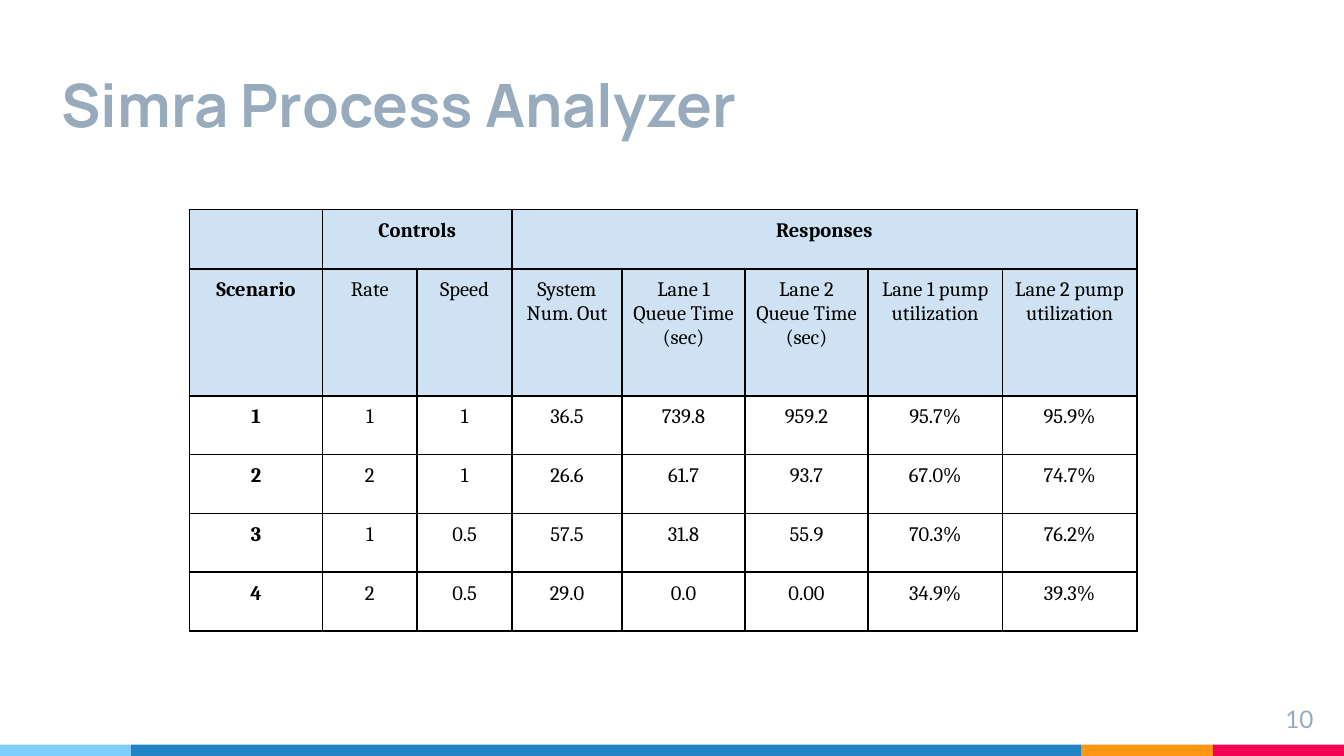
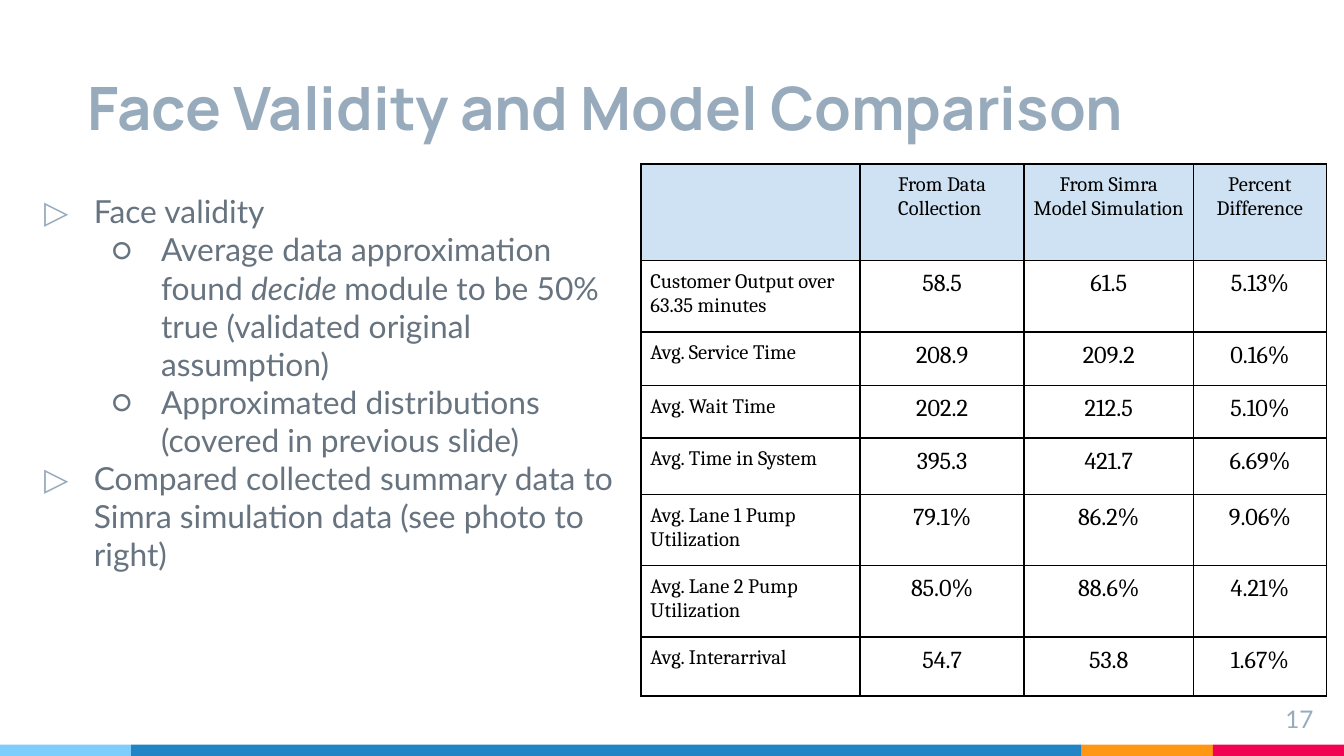
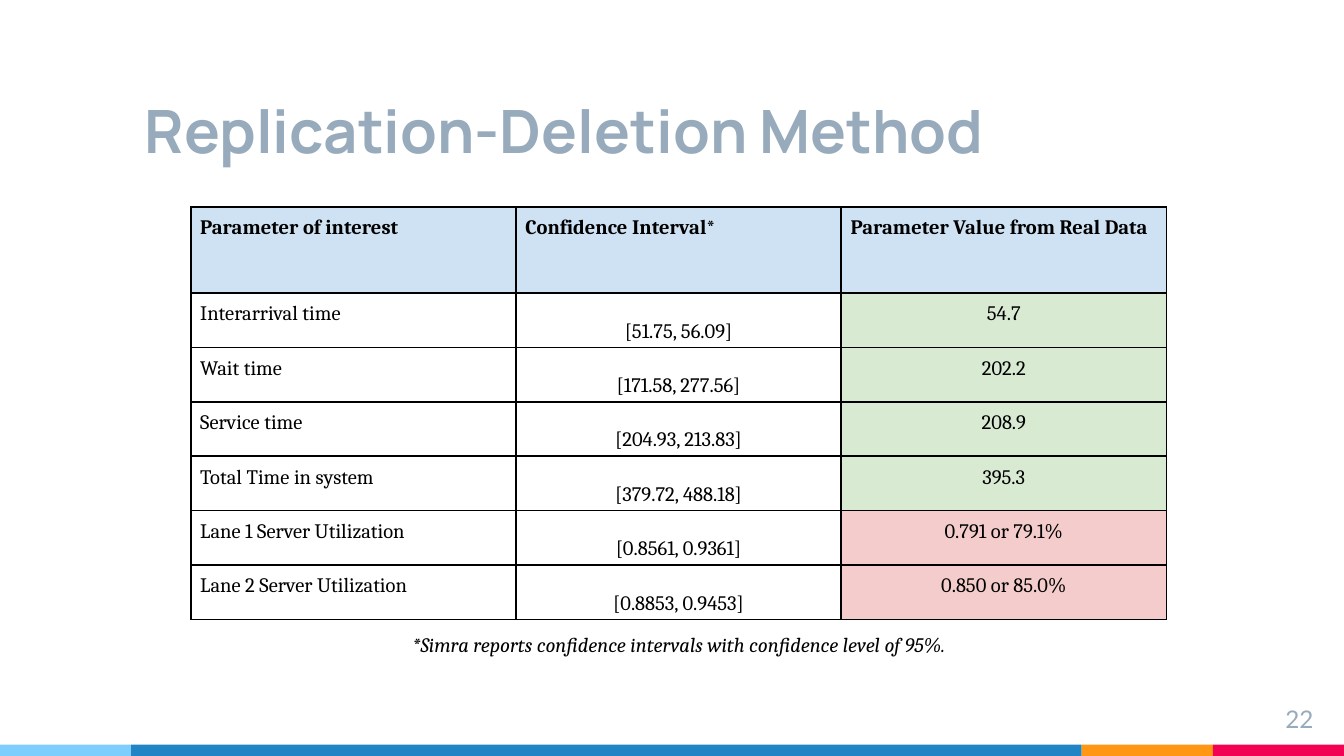
from dataclasses import dataclass

from lxml import etree
from pptx import Presentation
from pptx import util as u
from pptx.dml.color import RGBColor
from pptx.enum import shapes, text
from pptx.oxml.ns import qn

WIDTH, HEIGHT = u.Inches(10), u.Inches(5.625)
GRID_COLUMNS = 100  # square cells, so the slide is 56.25 rows high
CENTER = text.PP_ALIGN.CENTER
BOTTOM = text.MSO_ANCHOR.BOTTOM


@dataclass(frozen=True)
class Theme:
    title: str = "97ABBC"
    body: str = "677480"
    ink: str = "000000"
    header: str = "CFE2F3"
    inside: str = "D9EAD3"
    outside: str = "F4CCCC"
    bands: tuple = ("7ECEFD", "2185C5", "FF9715", "F20253")
    title_font: str = "Manrope"
    body_font: str = "Lato"
    table_font: str = "Cambria"
    title_size: int = 32
    body_size: int = 17
    number_size: int = 13
    value_size: int = 13
    table_size: int = 11


THEME = Theme()
TITLE = dict(name=THEME.title_font, size=THEME.title_size, color=THEME.title, bold=True)
BODY = dict(name=THEME.body_font, size=THEME.body_size, color=THEME.body)
NUMBER = dict(name=THEME.body_font, size=THEME.number_size, color=THEME.title)
TABLE = dict(name=THEME.table_font, size=THEME.table_size, color=THEME.ink)


def grid(cells):
    return round(cells * WIDTH / GRID_COLUMNS)


def set_attributes(target, values):
    for name, value in values.items():
        setattr(target, name, value)


def add_run(paragraph, words, style):
    run = paragraph.add_run()
    run.text = words
    values = dict(style)
    run.font.color.rgb = RGBColor.from_string(values.pop("color"))
    values["size"] = u.Pt(values["size"])
    set_attributes(run.font, values)


def set_margins(target, cells):
    sides = ("left", "top", "right", "bottom")
    set_attributes(target, {f"margin_{side}": grid(cells) for side in sides})


def add_text_box(slide, box, **frame_values):
    frame = slide.shapes.add_textbox(*map(grid, box)).text_frame
    set_attributes(frame, dict(word_wrap=True, **frame_values))
    set_margins(frame, 1)
    return frame


def add_line_of_text(slide, box, words, style, alignment=None, **frame_values):
    paragraph = add_text_box(slide, box, **frame_values).paragraphs[0]
    paragraph.alignment = alignment
    add_run(paragraph, words, style)


def add_bands(slide):
    side = 9.76
    left = 0
    for color, width in zip(THEME.bands, (side, 100 - 3 * side, side, side)):
        box = map(grid, (left, 55.4, width, 0.85))
        band = slide.shapes.add_shape(shapes.MSO_SHAPE.RECTANGLE, *box)
        band.shadow.inherit = False
        band.fill.solid()
        band.fill.fore_color.rgb = RGBColor.from_string(color)
        band.line.fill.background()
        left += width


def add_slide(presentation, title, title_box, number):
    slide = presentation.slides.add_slide(presentation.slide_layouts[6])
    add_bands(slide)
    add_line_of_text(slide, title_box, title, TITLE, vertical_anchor=BOTTOM)
    add_line_of_text(slide, (92.7, 51.4, 6, 3.4), number, NUMBER, text.PP_ALIGN.RIGHT)
    return slide


def set_bullet(paragraph, level):
    mark, color = (("▷", THEME.title), ("○", THEME.body))[level]
    properties = paragraph._p.get_or_add_pPr()
    properties.set("marL", str(grid(5 * (level + 1))))
    properties.set("indent", str(grid(-3.7)))
    bullet_color = etree.SubElement(properties, qn("a:buClr"))
    etree.SubElement(bullet_color, qn("a:srgbClr"), val=color)
    etree.SubElement(properties, qn("a:buFont"), typeface=THEME.body_font)
    etree.SubElement(properties, qn("a:buChar"), char=mark)


def add_bullets(slide, box, items):
    """Each item is its level and its words; every second run is italic."""
    frame = add_text_box(slide, box)
    for index, (level, *runs) in enumerate(items):
        paragraph = frame.add_paragraph() if index else frame.paragraphs[0]
        paragraph.level = level
        paragraph.space_before = u.Pt(0 if index else 6)
        set_bullet(paragraph, level)
        for position, words in enumerate(runs):
            add_run(paragraph, words, dict(BODY, italic=position % 2 == 1))


def set_borders(cell):
    properties = cell._tc.get_or_add_tcPr()
    for side in "LRTB":
        line = etree.SubElement(properties, qn(f"a:ln{side}"), w=str(u.Pt(1)))
        fill = etree.SubElement(line, qn("a:solidFill"))
        etree.SubElement(fill, qn("a:srgbClr"), val=THEME.ink)


def fill_cell(cell, words, fill=None, alignment=CENTER, anchor=text.MSO_ANCHOR.TOP,
              margin=0.7, line_spacing=None, **font):
    set_borders(cell)
    set_margins(cell, margin)
    cell.vertical_anchor = anchor
    if fill:
        cell.fill.solid()
        cell.fill.fore_color.rgb = RGBColor.from_string(fill)
    else:
        cell.fill.background()
    if words:
        paragraph = cell.text_frame.paragraphs[0]
        set_attributes(paragraph, dict(alignment=alignment, line_spacing=line_spacing))
        add_run(paragraph, words, dict(TABLE, **font))


def add_grid_table(slide, left, top, widths, heights, rows, look, merges=()):
    """look(row, column) gives the format values of a cell."""
    box = map(grid, (left, top, sum(widths), sum(heights)))
    table = slide.shapes.add_table(len(heights), len(widths), *box).table
    set_attributes(table, dict(first_row=False, horz_banding=False))
    for column, width in zip(table.columns, widths):
        column.width = grid(width)
    for row, height in zip(table.rows, heights):
        row.height = grid(height)
    for r, row in enumerate(rows):
        for c, words in enumerate(row):
            fill_cell(table.cell(r, c), words, **look(r, c))
    for row, first, last in merges:
        table.cell(row, first).merge(table.cell(row, last))


def scenario_look(row, column):
    return dict(fill=THEME.header if row < 2 else None, bold=row == 0 or column == 0)


def comparison_look(row, column):
    if row == 0:
        return dict(fill=THEME.header)
    return dict(size=THEME.value_size) if column else dict(alignment=None)


def interval_look(row, column):
    if row == 0:
        return dict(fill=THEME.header, alignment=None, bold=True)
    return (
        dict(alignment=None),
        dict(anchor=BOTTOM, margin=0.3, line_spacing=1.15),
        dict(fill=THEME.inside if row < 5 else THEME.outside),
    )[column]


def add_analyzer_slide(presentation):
    slide = add_slide(presentation, "Simra Process Analyzer", (3.6, 2, 85.3, 9.4), "10")
    rows = [
        ("", "Controls", "", "Responses", "", "", "", ""),
        ("Scenario", "Rate", "Speed", "System Num. Out", "Lane 1 Queue Time (sec)",
         "Lane 2 Queue Time (sec)", "Lane 1 pump utilization", "Lane 2 pump utilization"),
        ("1", "1", "1", "36.5", "739.8", "959.2", "95.7%", "95.9%"),
        ("2", "2", "1", "26.6", "61.7", "93.7", "67.0%", "74.7%"),
        ("3", "1", "0.5", "57.5", "31.8", "55.9", "70.3%", "76.2%"),
        ("4", "2", "0.5", "29.0", "0.0", "0.00", "34.9%", "39.3%"),
    ]
    widths = [9.9, 7.05, 7.05, 8.2, 9.15, 9.15, 10, 10]
    heights = [4.38, 9.45] + [4.38] * 4
    add_grid_table(slide, 14.1, 15.6, widths, heights, rows, scenario_look,
                   merges=[(0, 1, 2), (0, 3, 7)])


def add_comparison_slide(presentation):
    slide = add_slide(presentation, "Face Validity and Model Comparison",
                      (5.5, 2.2, 82.6, 9.4), "17")
    add_bullets(slide, (1, 13.3, 46.7, 34.6), [
        (0, "Face validity"),
        (1, "Average data approximation found ", "decide ",
         "module to be 50% true (validated original assumption)"),
        (1, "Approximated distributions (covered in previous slide)"),
        (0, "Compared collected summary data to Simra simulation data (see photo to right)"),
    ])
    rows = [
        ("", "From Data Collection ", "From Simra Model Simulation", "Percent Difference"),
        ("Customer Output over 63.35 minutes", "58.5", "61.5", "5.13%"),
        ("Avg. Service Time", "208.9", "209.2", "0.16%"),
        ("Avg. Wait Time", "202.2", "212.5", "5.10%"),
        ("Avg. Time in System", "395.3", "421.7", "6.69%"),
        ("Avg. Lane 1 Pump Utilization", "79.1%", "86.2%", "9.06%"),
        ("Avg. Lane 2 Pump Utilization", "85.0%", "88.6%", "4.21%"),
        ("Avg. Interarrival", "54.7", "53.8", "1.67%"),
    ]
    heights = [7.2, 5.3, 4, 3.9, 4.2, 5.3, 5.3, 4.4]
    add_grid_table(slide, 47.7, 12.2, [16.3, 12.2, 12.6, 9.9], heights, rows,
                   comparison_look)


def add_interval_slide(presentation):
    slide = add_slide(presentation, "Replication-Deletion Method",
                      (9.8, 3.9, 70.7, 9.4), "22")
    rows = [
        ("Parameter of interest", "Confidence Interval*", "Parameter Value from Real Data"),
        ("Interarrival time", "[51.75, 56.09]", "54.7"),
        ("Wait time", "[171.58, 277.56]", "202.2"),
        ("Service time", "[204.93, 213.83]", "208.9"),
        ("Total Time in system", "[379.72, 488.18]", "395.3"),
        ("Lane 1 Server Utilization", "[0.8561, 0.9361]", "0.791 or 79.1%"),
        ("Lane 2 Server Utilization", "[0.8853, 0.9453]", "0.850 or 85.0%"),
    ]
    add_grid_table(slide, 14.2, 15.4, [24.2] * 3, [6.4] + [4.05] * 6, rows, interval_look)
    add_line_of_text(slide, (23.9, 46.1, 53.3, 3.9),
                     "*Simra reports confidence intervals with confidence level of 95%.",
                     dict(TABLE, italic=True), CENTER)


def main():
    presentation = Presentation()
    set_attributes(presentation, dict(slide_width=WIDTH, slide_height=HEIGHT))
    add_analyzer_slide(presentation)
    add_comparison_slide(presentation)
    add_interval_slide(presentation)
    presentation.save("out.pptx")


if __name__ == "__main__":
    main()
